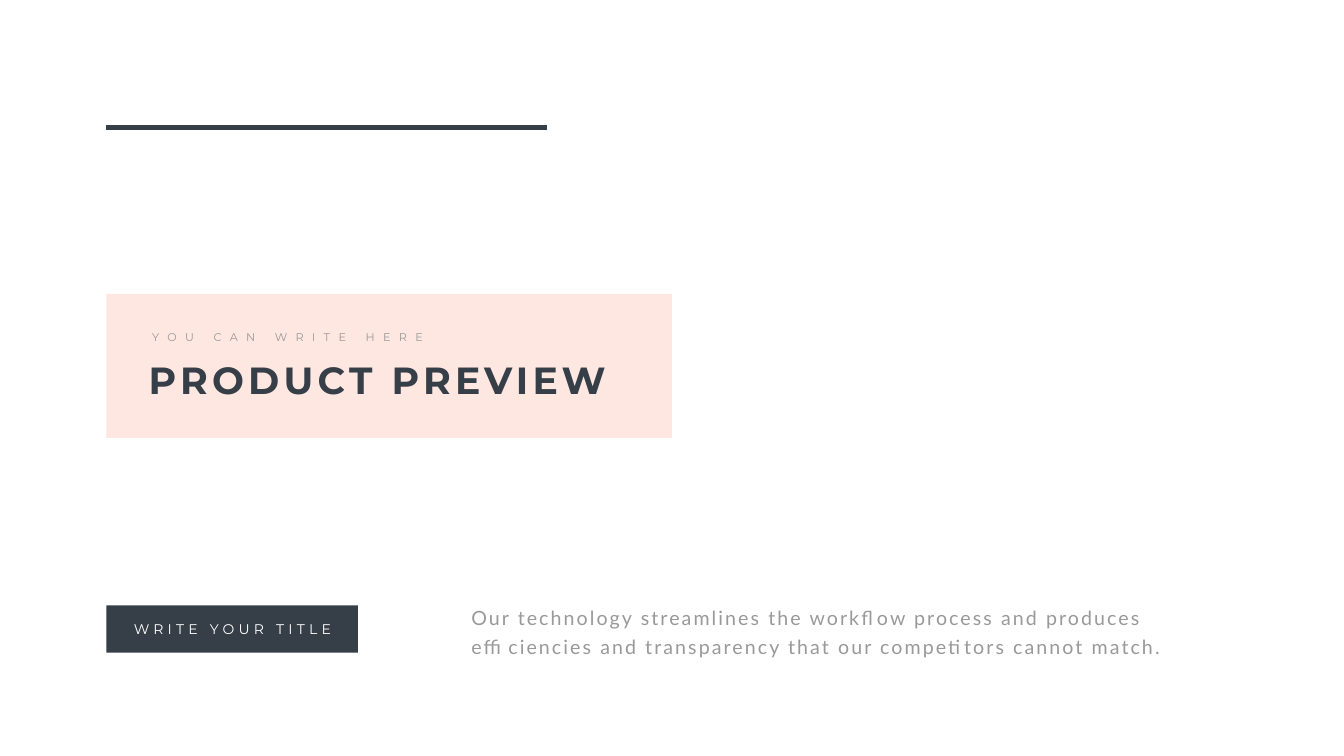
from lxml import etree
from pptx import Presentation
from pptx import util as u
from pptx.dml.color import RGBColor
from pptx.enum import shapes, text
from pptx.oxml import ns

HUES = {"dark": "363E48", "pink": "FEE0DA", "gray": "999999", "white": "FFFFFF"}
LEFT = 2.11


def color(name):
    return RGBColor.from_string(HUES[name])


def place(*box):
    return [u.Inches(size) for size in box]


def add_block(slide, box, hue, alpha=None):
    """Add a plain filled rectangle, with alpha as percent opacity."""
    block = slide.shapes.add_shape(shapes.MSO_SHAPE.RECTANGLE, *place(*box))
    block.shadow.inherit = False
    block.line.fill.background()
    block.fill.solid()
    block.fill.fore_color.rgb = color(hue)
    if alpha:
        tint = block.fill._xPr.find(".//" + ns.qn("a:srgbClr"))
        etree.SubElement(tint, ns.qn("a:alpha")).set("val", str(alpha * 1000))
    return block


def add_rule(slide, start, end, hue, width):
    rule = slide.shapes.add_connector(
        shapes.MSO_CONNECTOR.STRAIGHT, *place(*start, *end))
    rule.line.color.rgb = color(hue)
    rule.line.width = u.Pt(width)
    etree.SubElement(rule._element.spPr, ns.qn("a:effectLst"))


def set_text(shape, words, hue, gap, font, para=None, wrap=True):
    """Fill a shape with one paragraph; gap is letter spacing in points."""
    frame = shape.text_frame
    frame.text = words
    look = {"word_wrap": wrap, "auto_size": text.MSO_AUTO_SIZE.SHAPE_TO_FIT_TEXT,
            "vertical_anchor": text.MSO_ANCHOR.TOP}
    line = frame.paragraphs[0]
    run = line.runs[0]
    layout = {"alignment": text.PP_ALIGN.LEFT, **(para or {})}
    for part, values in ((frame, look), (line, layout), (run.font, font)):
        for name, value in values.items():
            setattr(part, name, value)
    run.font.color.rgb = color(hue)
    run._r.get_or_add_rPr().set("spc", str(gap * 100))


def add_label(slide, box, *args, **kwargs):
    set_text(slide.shapes.add_textbox(*place(*box)), *args, **kwargs)


def add_title(slide, box, *args):
    title = slide.shapes.title
    for name, value in zip(("left", "top", "width", "height"), place(*box)):
        setattr(title, name, value)
    set_text(title, *args)
    return title


def main():
    deck = Presentation()
    deck.slide_width, deck.slide_height = place(26.66, 15)
    slide = deck.slides.add_slide(deck.slide_layouts[5])

    panel = add_block(slide, (LEFT, 5.83, 11.22, 2.86), "pink", 80)
    title = add_title(slide, (2.85, 7.02, 9.73, 1.01), "PRODUCT PREVIEW", "dark", 6,
                      {"name": "Montserrat", "size": u.Pt(54), "bold": True})
    title._element.addprevious(panel._element)  # keep the panel behind the title
    add_label(slide, (2.92, 6.51, 5.78, 0.37), "YOU CAN WRITE HERE", "gray", 12,
              {"name": "Montserrat", "size": u.Pt(16)}, wrap=False)

    add_rule(slide, (10.86, 2.53), (LEFT, 2.53), "dark", 8)

    add_label(slide, (9.25, 11.88, 14.22, 1.19),
              "Our technology streamlines the workflow process and produces "
              "efficiencies and transparency that our competitors cannot match.",
              "gray", 3, {"name": "Lato", "size": u.Pt(28)},
              {"line_spacing": u.Pt(40.8)})

    add_block(slide, (LEFT, 12.01, 4.99, 0.94), "dark")
    add_label(slide, (2.49, 12.26, 4.24, 0.44), "WRITE YOUR TITLE", "white", 6,
              {"name": "Montserrat", "size": u.Pt(20)},
              {"alignment": text.PP_ALIGN.CENTER}, wrap=False)

    deck.save("out.pptx")


if __name__ == "__main__":
    main()
